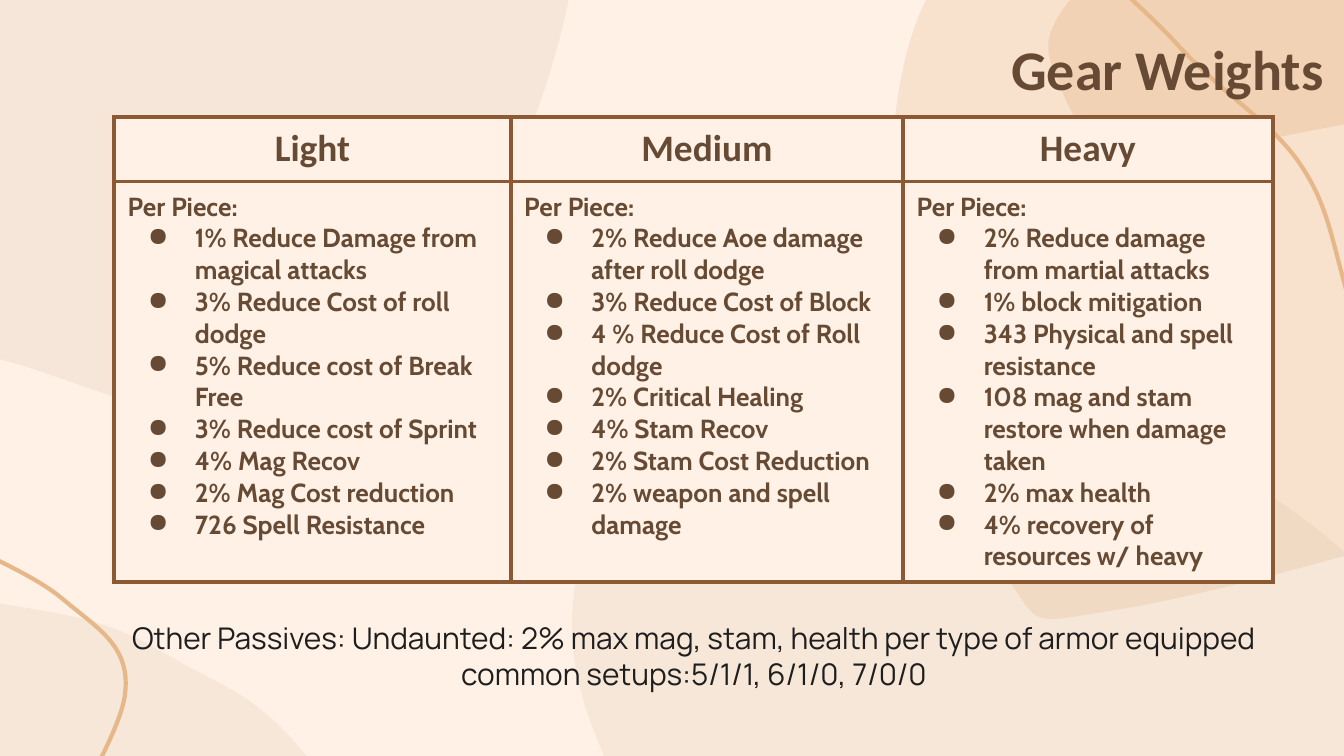
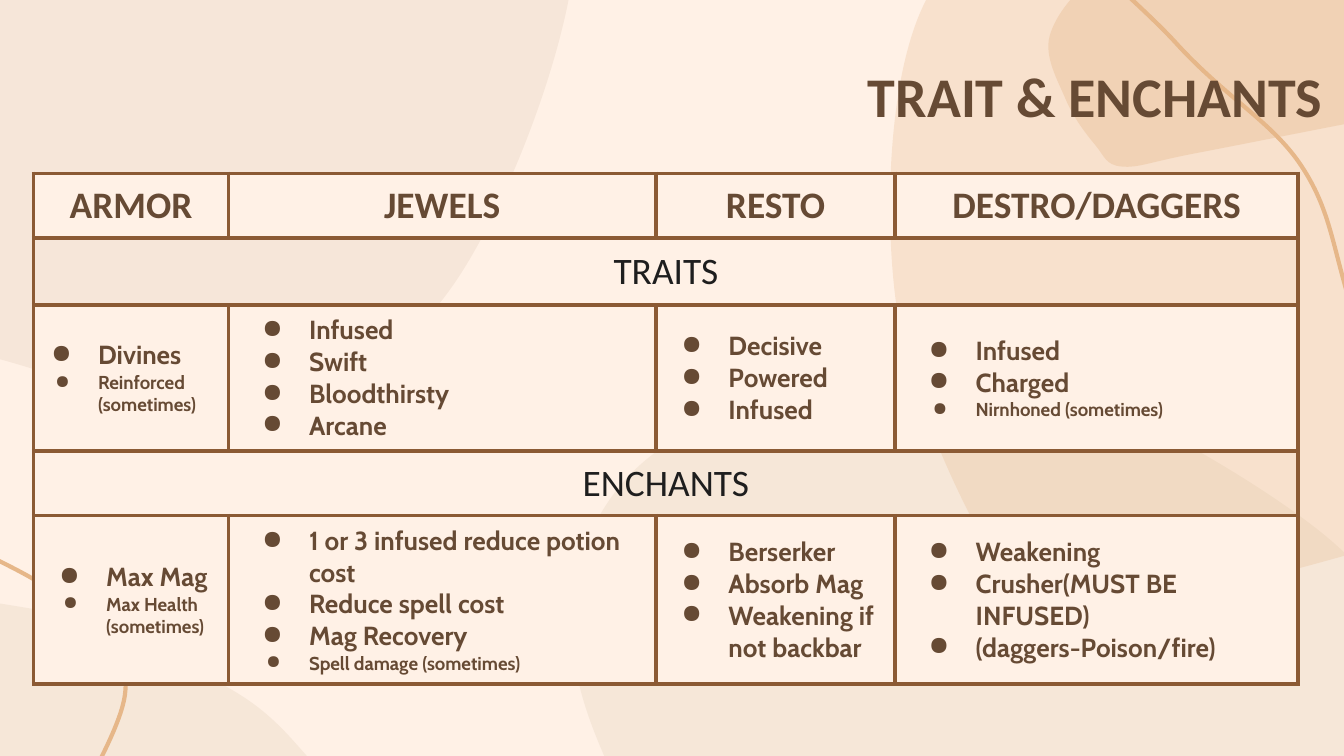
import pptx
import pptx.dml.color
import pptx.enum.text
import pptx.oxml
import pptx.oxml.ns
import pptx.util

Inches = pptx.util.Inches
RGBColor = pptx.dml.color.RGBColor
Align = pptx.enum.text.PP_ALIGN
Anchor = pptx.enum.text.MSO_ANCHOR

CREAM = RGBColor(0xFF, 0xF1, 0xE6)
SAND = RGBColor(0xEC, 0xDC, 0xC9)
APRICOT = RGBColor(0xE6, 0xB7, 0x89)
CHESTNUT = RGBColor(0x8B, 0x5A, 0x34)
COCOA = RGBColor(0x66, 0x4A, 0x34)
INK = RGBColor(0x1E, 0x1E, 0x1E)
RULE = pptx.util.Pt(2.25)
PADDING = Inches(0.1)
A_NS = pptx.oxml.ns.nsdecls("a")

BACKDROP = [
    (SAND, 46, [(9.99, 4.1), (10.34, 5.28), (9.71, 8.36), (9.57, 9.47), (10.17, 11.07), (8.45, 10.81),
                (6.42, 9.09), (4.88, 6.42), (4.26, 4.78), (4.68, 3.54), (6.1, 2.82), (7.76, 2.81)]),
    (APRICOT, 26, [(11.37, -1.36), (8.6, -0.7), (6.95, -0.1), (6.66, 2.2), (7.48, 4.28),
                   (8.3, 4.54), (11.49, 3.65), (13.69, 2.39)]),
    (APRICOT, None, [(12.91, 4.8), (11.91, 4.58), (10.51, 3.93), (10.05, 2.27), (9.68, 1.23),
                     (8.75, 0.32), (7.43, -1.24), (8.41, -2.56)]),
    (APRICOT, 35, [(12.58, -1.01), (13.1, -0.18), (11.99, 0.57), (10.5, 0.83), (8.9, 1.14), (8.35, 1.24),
                   (8.15, 1.08), (7.93, 0.74), (7.81, 0.27), (8.18, -0.19), (8.88, -0.41), (10.92, -0.86)]),
    (CHESTNUT, 7, [(1.7, -3.23), (-1.12, -3.26), (-2.07, -1.78), (-2.86, 0.16), (-1.95, 1.94), (0.32, 2.77),
                   (1.32, 3.08), (2.16, 3.16), (3.42, 2.05), (4.24, -0.05), (4.15, -1.92)]),
    (SAND, 46, [(-1.44, 8.98), (0.74, 7.39), (1.63, 6.89), (3.02, 6.77), (2.19, 5.52), (1.42, 4.97),
                (0.3, 4.54), (-2.52, 4.32), (-4.84, 5.2), (-4.29, 7.87)]),
    (APRICOT, None, [(-5.49, 0.13), (-2.98, 0.58), (-2.25, 2.15), (-1.7, 3.11), (-0.63, 3.85),
                     (0.47, 4.46), (0.93, 5.17), (0.19, 6.63)]),
]

TOPICS = [
    dict(
        title="Gear Weights", title_at=(3.6, 0.15), table_at=(0.85, 0.87), anchor=Anchor.TOP,
        columns=[2.95, 2.92, 2.75], heights=[0.47, 1.25],
        headings=["Light", "Medium", "Heavy"],
        body=[([0.5, 0.5, 0.5], [
            ["Per Piece:", "1% Reduce Damage from magical attacks", "3% Reduce Cost of roll dodge",
             "5% Reduce cost of Break Free", "3% Reduce cost of Sprint", "4% Mag Recov",
             "2% Mag Cost reduction", "726 Spell Resistance"],
            ["Per Piece:", "2% Reduce Aoe damage after roll dodge", "3% Reduce Cost of Block",
             "4 % Reduce Cost of Roll dodge", "2% Critical Healing", "4% Stam Recov",
             "2% Stam Cost Reduction", "2% weapon and spell damage"],
            ["Per Piece:", "2% Reduce damage from martial attacks", "1% block mitigation",
             "343 Physical and spell resistance", "108 mag and stam restore when damage taken",
             "2% max health", "4% recovery of resources w/ heavy"],
        ])]),
    dict(
        title="TRAIT & ENCHANTS", title_at=(3.59, 0.35), table_at=(0.25, 1.29), anchor=Anchor.MIDDLE,
        columns=[1.45, 3.18, 1.78, 3], heights=[0.47, 0.5, 1, 0.45, 1.25],
        headings=["ARMOR", "JEWELS", "RESTO", "DESTRO/DAGGERS"],
        body=[
            "TRAITS",
            ([0.38, 0.5, 0.44, 0.5], [
                ["Divines", "Reinforced (sometimes)"],
                ["Infused", "Swift", "Bloodthirsty", "Arcane"],
                ["Decisive", "Powered", "Infused"],
                ["Infused", "Charged", "Nirnhoned (sometimes)"]]),
            "ENCHANTS",
            ([0.44, 0.5, 0.44, 0.5], [
                ["Max Mag", "Max Health (sometimes)"],
                ["1 or 3 infused reduce potion cost", "Reduce spell cost", "Mag Recovery",
                 "Spell damage (sometimes)"],
                ["Berserker", "Absorb Mag", "Weakening if not backbar"],
                ["Weakening", "Crusher(MUST BE INFUSED)", "(daggers-Poison/fire)"]]),
        ]),
]
PASSIVES = [
    "Other Passives: Undaunted: 2% max mag, stam, health per type of armor equipped",
    "common setups:5/1/1, 6/1/0, 7/0/0",
]


def write(frame, text, size=20, font="Calibri", colour=COCOA, bold=True,
          align=Align.CENTER, indent=None, hang=0.35):
    paragraph = frame.add_paragraph() if frame.text else frame.paragraphs[0]
    paragraph.alignment = align
    if indent:
        properties = paragraph._p.get_or_add_pPr()
        properties.set("marL", str(Inches(indent)))
        properties.set("indent", str(-Inches(hang)))
        for bullet in (f'<a:buClr {A_NS}><a:srgbClr val="{colour}"/></a:buClr>',
                       f'<a:buChar {A_NS} char="●"/>'):
            properties.append(pptx.oxml.parse_xml(bullet))
    run = paragraph.add_run()
    run.text = text
    run.font.size = pptx.util.Pt(size)
    run.font.name = font
    run.font.bold = bold
    run.font.color.rgb = colour


def format_cell(cell, anchor, filled=True):
    cell.vertical_anchor = anchor
    cell.margin_left = cell.margin_right = PADDING
    cell.margin_top = cell.margin_bottom = Inches(0.07)
    if filled:
        cell.fill.solid()
        cell.fill.fore_color.rgb = CREAM
    else:
        cell.fill.background()
    for position, side in enumerate("LRTB"):
        cell._tc.get_or_add_tcPr().insert(position, pptx.oxml.parse_xml(
            f'<a:ln{side} {A_NS} w="{RULE}"><a:solidFill><a:srgbClr val="{CHESTNUT}"/>'
            f'</a:solidFill></a:ln{side}>'))


deck = pptx.Presentation()
deck.slide_width = Inches(10)
deck.slide_height = Inches(5.625)
layout = deck.slide_layouts[5]
layout.background.fill.solid()
layout.background.fill.fore_color.rgb = CREAM
slides = [deck.slides.add_slide(layout) for topic in TOPICS]

for order, (colour, opacity, places) in enumerate(BACKDROP):
    points = [(Inches(x), Inches(y)) for x, y in places]
    closed = opacity is not None
    if closed:
        chain = [points[-1], *points, *points[:2]]
    else:
        chain = [points[0], *points, points[-1]]
    curve_points = []
    for before, start, end, after in zip(chain, chain[1:], chain[2:], chain[3:]):
        curve_points.append([s + (e - b) / 6 for b, s, e in zip(before, start, end)])
        curve_points.append([e - (a - s) / 6 for s, e, a in zip(start, end, after)])
        curve_points.append(end)
    outline = slides[0].shapes.build_freeform(*points[0])
    outline.add_line_segments(curve_points, close=closed)
    blob = outline.convert_to_shape()
    blob.shadow.inherit = False
    segments = blob.element.xpath(".//a:lnTo")
    for curve, second, third in zip(segments[::3], segments[1::3], segments[2::3]):
        curve.tag = pptx.oxml.ns.qn("a:cubicBezTo")
        for extra in (second, third):
            curve.append(extra[0])
            extra.getparent().remove(extra)
    if closed:
        blob.fill.solid()
        blob.fill.fore_color.rgb = colour
        blob.line.fill.background()
        tint = blob.element.xpath("./p:spPr/a:solidFill/a:srgbClr")[0]
        tint.append(pptx.oxml.parse_xml(f'<a:alpha {A_NS} val="{opacity * 1000}"/>'))
    else:
        blob.fill.background()
        blob.line.color.rgb = colour
        blob.line.width = RULE
    blob.element.xpath("./p:nvSpPr/p:cNvPr")[0].set("id", str(100 + order))
    layout.shapes.element.insert(2 + order, blob.element)

for slide, topic in zip(slides, TOPICS):
    title = slide.shapes.title
    title.left, title.top = [Inches(length) for length in topic["title_at"]]
    title.width, title.height = Inches(6.35), Inches(0.72)
    heading = title.text_frame
    heading.word_wrap = True
    heading.auto_size = pptx.enum.text.MSO_AUTO_SIZE.NONE
    heading.vertical_anchor = Anchor.MIDDLE
    heading.margin_left = heading.margin_right = heading.margin_top = heading.margin_bottom = PADDING
    write(heading, topic["title"], size=30, align=Align.RIGHT)

    columns, heights = topic["columns"], topic["heights"]
    left, top = topic["table_at"]
    grid = slide.shapes.add_table(len(heights), len(columns), Inches(left), Inches(top),
                                  Inches(sum(columns)), Inches(sum(heights))).table
    grid.first_row = grid.horz_banding = False
    for column, width in zip(grid.columns, columns):
        column.width = Inches(width)
    for row, height in zip(grid.rows, heights):
        row.height = Inches(height)
    for cell, text in zip(grid.rows[0].cells, topic["headings"]):
        format_cell(cell, Anchor.MIDDLE)
        write(cell.text_frame, text)
    for number, content in enumerate(topic["body"], 1):
        cells = list(grid.rows[number].cells)
        if isinstance(content, str):
            for cell in cells:
                format_cell(cell, Anchor.MIDDLE, filled=False)
            cells[0].merge(cells[-1])
            write(cells[0].text_frame, content, colour=INK, bold=False)
            continue
        for cell, indent, lines in zip(cells, *content):
            format_cell(cell, topic["anchor"])
            for line in lines:
                minor = line.endswith("(sometimes)")
                write(cell.text_frame, line, size=10 if minor else 14, font="Cabin", align=Align.LEFT,
                      indent=None if line.endswith(":") else indent, hang=0.32 if minor else 0.35)

passives = slides[0].shapes.add_textbox(Inches(0.83), Inches(4.51), Inches(8.67), Inches(0.65)).text_frame
passives.word_wrap = True
passives.margin_left = passives.margin_right = passives.margin_top = passives.margin_bottom = PADDING
for line in PASSIVES:
    write(passives, line, size=16, font="Manrope", colour=INK, bold=False)

deck.save("out.pptx")
